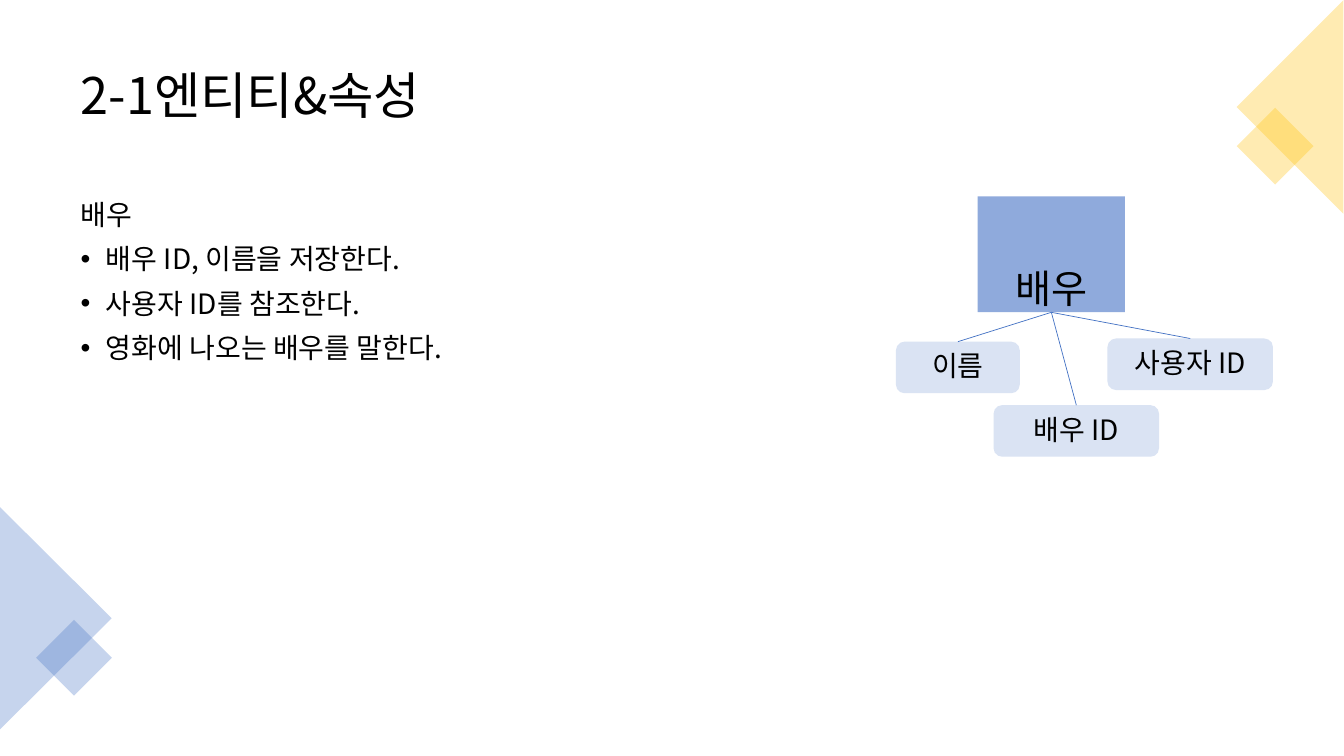
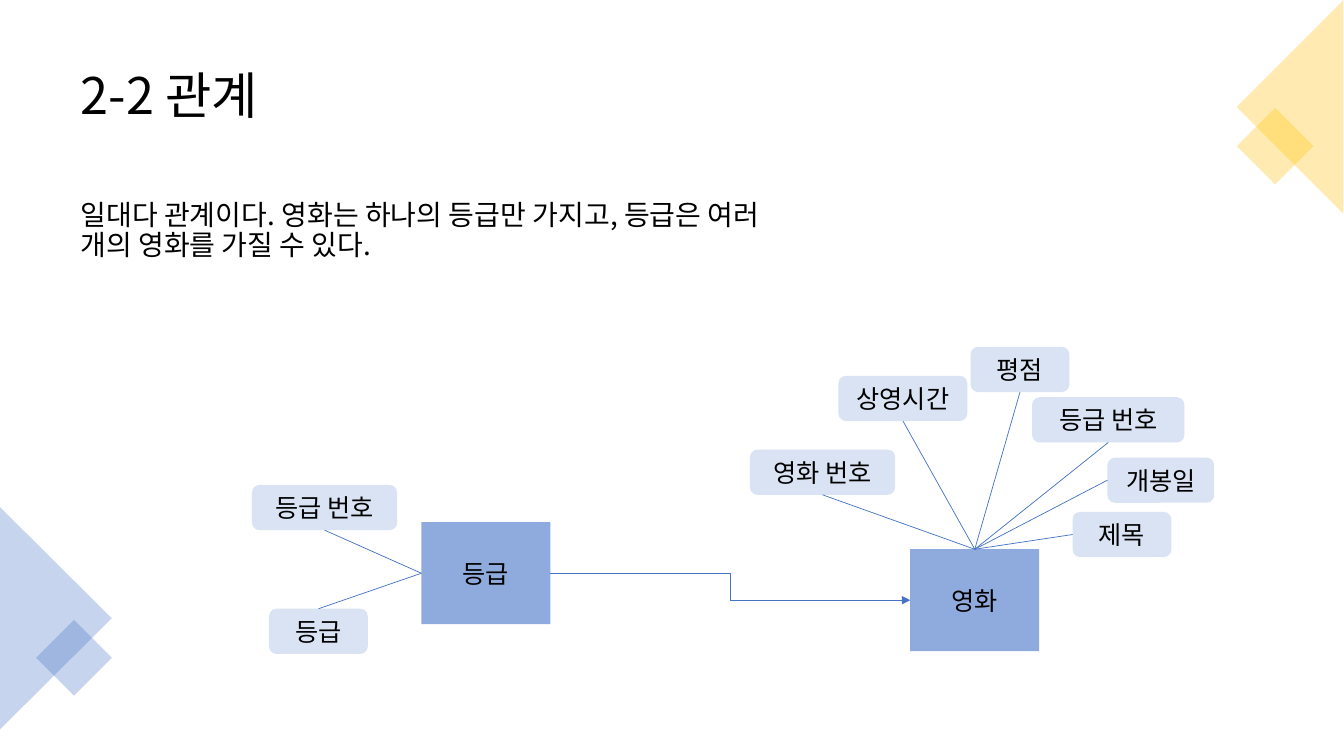
from dataclasses import dataclass

from lxml import etree
from pptx import Presentation
from pptx.dml.color import RGBColor
from pptx.enum.shapes import MSO_CONNECTOR, MSO_SHAPE
from pptx.enum.text import MSO_ANCHOR, MSO_AUTO_SIZE, PP_ALIGN
from pptx.oxml.ns import qn
from pptx.util import Cm, Pt

RECT = MSO_SHAPE.RECTANGLE
ROUND = MSO_SHAPE.ROUNDED_RECTANGLE
TRI = MSO_SHAPE.ISOSCELES_TRIANGLE
LINE = MSO_CONNECTOR.STRAIGHT
ELBOW = MSO_CONNECTOR.ELBOW
MIDDLE = MSO_ANCHOR.MIDDLE
BOTTOM = MSO_ANCHOR.BOTTOM
LEFT = PP_ALIGN.LEFT
CENTER = PP_ALIGN.CENTER
FIXED = MSO_AUTO_SIZE.NONE
AT_TOP, AT_LEFT, AT_BOTTOM, AT_RIGHT = range(4)

FONT = "Noto Sans CJK KR"
COLORS = {
    "text": "000000",
    "blue": "4472C4",
    "gold": "FFC000",
    "entity": "8FAADC",
    "field": "DAE3F3",
}


@dataclass
class Mark:
    kind: int
    left: float
    top: float
    width: float
    height: float
    turn: int
    color: str


@dataclass
class Field:
    text: str
    left: float
    top: float
    width: float
    side: int


@dataclass
class Entity:
    text: str
    left: float
    top: float
    width: float
    height: float
    side: int
    fields: list[Field]


@dataclass
class Style:
    head: int
    size: int
    height: float
    space: float
    after: int
    anchor: int


MARKS = [
    Mark(RECT, 31.45, 3, 1.37, 1.37, 45, "gold"),
    Mark(TRI, 29.82, 1.35, 5.38, 2.69, 270, "gold"),
    Mark(TRI, -1.4, 14.17, 5.61, 2.82, 90, "blue"),
    Mark(RECT, 1.19, 15.9, 1.35, 1.35, 45, "blue"),
]
LARGE = Style(28, 20, 1.3, 0.9, 6, BOTTOM)
SMALL = Style(18, 18, 1.14, 1.0, 0, MIDDLE)

ACTOR = Entity("배우", 24.64, 4.95, 3.71, 2.92, AT_BOTTOM, [
    Field("배우 ID", 25.04, 10.21, 4.17, AT_TOP),
    Field("이름", 22.58, 8.61, 3.12, AT_TOP),
    Field("사용자 ID", 27.91, 8.53, 4.17, AT_TOP),
])
GRADE = Entity("등급", 10.62, 13.16, 3.25, 2.57, AT_LEFT, [
    Field("등급 번호", 6.35, 12.22, 3.66, AT_BOTTOM),
    Field("등급", 6.78, 15.34, 2.49, AT_TOP),
])
MOVIE = Entity("영화", 22.94, 13.84, 3.25, 2.57, AT_TOP, [
    Field("영화 번호", 18.9, 11.33, 3.66, AT_BOTTOM),
    Field("제목", 27.03, 12.9, 2.49, AT_LEFT),
    Field("평점", 24.46, 8.74, 2.49, AT_BOTTOM),
    Field("개봉일", 27.91, 11.53, 2.69, AT_LEFT),
    Field("상영시간", 21.13, 9.47, 3.25, AT_BOTTOM),
    Field("등급 번호", 26.01, 10.01, 3.84, AT_BOTTOM),
])


def rgb(name: str) -> RGBColor:
    return RGBColor.from_string(COLORS[name])


def format_text(para, size: int, align: int, space: float = 0.9,
                before: int = 0, after: int = 0) -> None:
    para.alignment = align
    para.line_spacing = space
    para.space_before = Pt(before)
    para.space_after = Pt(after)
    font = para.font
    font.name = FONT
    font.size = Pt(size)
    font.color.rgb = rgb("text")
    props = para._p.pPr.find(qn("a:defRPr"))
    etree.SubElement(props, qn("a:ea")).set("typeface", FONT)


def add_bullet(para) -> None:
    props = para._p.get_or_add_pPr()
    props.set("marL", str(Cm(0.64)))
    props.set("indent", str(-Cm(0.64)))
    etree.SubElement(props, qn("a:buFont")).set("typeface", "Arial")
    etree.SubElement(props, qn("a:buChar")).set("char", "•")


def add_block(slide, kind: int, box: tuple, color: str):
    shape = slide.shapes.add_shape(kind, *map(Cm, box))
    shape.shadow.inherit = False
    shape.fill.solid()
    shape.fill.fore_color.rgb = rgb(color)
    shape.line.fill.background()
    return shape


def add_mark(slide, mark: Mark) -> None:
    box = (mark.left, mark.top, mark.width, mark.height)
    shape = add_block(slide, mark.kind, box, mark.color)
    shape.rotation = mark.turn
    tint = shape._element.spPr.find(qn("a:solidFill"))[0]
    etree.SubElement(tint, qn("a:alpha")).set("val", "30000")


def add_label(slide, kind: int, box: tuple, color: str, text: str,
              size: int, style: Style, anchor: int):
    shape = add_block(slide, kind, box, color)
    frame = shape.text_frame
    frame.word_wrap = True
    frame.vertical_anchor = anchor
    if anchor == BOTTOM:
        frame.margin_bottom = 0
    para = frame.paragraphs[0]
    para.text = text
    format_text(para, size, CENTER, style.space, after=style.after)
    return shape


def link(slide, kind: int, start, exit: int, end, entry: int):
    line = slide.shapes.add_connector(kind, 0, 0, 0, 0)
    line.begin_connect(start, exit)
    line.end_connect(end, entry)
    line.line.color.rgb = rgb("blue")
    line.line.width = Pt(0.5)
    etree.SubElement(line._element.spPr, qn("a:effectLst"))
    return line


def add_entity(slide, item: Entity, style: Style):
    box = (item.left, item.top, item.width, item.height)
    hub = add_label(slide, RECT, box, "entity", item.text,
                    style.head, style, style.anchor)
    for field in item.fields:
        box = (field.left, field.top, field.width, style.height)
        label = add_label(slide, ROUND, box, "field", field.text,
                          style.size, style, MIDDLE)
        link(slide, LINE, label, field.side, hub, item.side)
    return hub


def add_page(deck, title: str, lead: str, points: list[str]):
    slide = deck.slides.add_slide(deck.slide_layouts[5])
    for mark in MARKS:
        add_mark(slide, mark)
    head = slide.shapes.title
    head.left, head.top, head.width, head.height = map(
        Cm, (1.78, 0.89, 30.3, 3.15))
    head.text_frame.auto_size = FIXED
    head.text_frame.vertical_anchor = MIDDLE
    head.text_frame.text = title
    format_text(head.text_frame.paragraphs[0], 36, LEFT)

    body = slide.shapes.add_textbox(*map(Cm, (1.78, 4.95, 19, 12.22)))
    frame = body.text_frame
    frame.word_wrap = True
    frame.text = lead
    format_text(frame.paragraphs[0], 20, LEFT)
    for point in points:
        para = frame.add_paragraph()
        para.text = point
        add_bullet(para)
        format_text(para, 20, LEFT, before=10)
    return slide


def main() -> None:
    deck = Presentation()
    deck.slide_width, deck.slide_height = Cm(33.87), Cm(19.05)

    slide = add_page(deck, "2-1엔티티&속성", "배우", [
        "배우 ID, 이름을 저장한다.",
        "사용자 ID를 참조한다.",
        "영화에 나오는 배우를 말한다.",
    ])
    add_entity(slide, ACTOR, LARGE)

    slide = add_page(
        deck, "2-2 관계",
        "일대다 관계이다. 영화는 하나의 등급만 가지고, "
        "등급은 여러 개의 영화를 가질 수 있다.", [])
    grade = add_entity(slide, GRADE, SMALL)
    movie = add_entity(slide, MOVIE, SMALL)
    arrow = link(slide, ELBOW, grade, AT_RIGHT, movie, AT_LEFT)
    stroke = arrow.line._get_or_add_ln()
    etree.SubElement(stroke, qn("a:tailEnd")).set("type", "triangle")

    deck.save("out.pptx")


if __name__ == "__main__":
    main()
